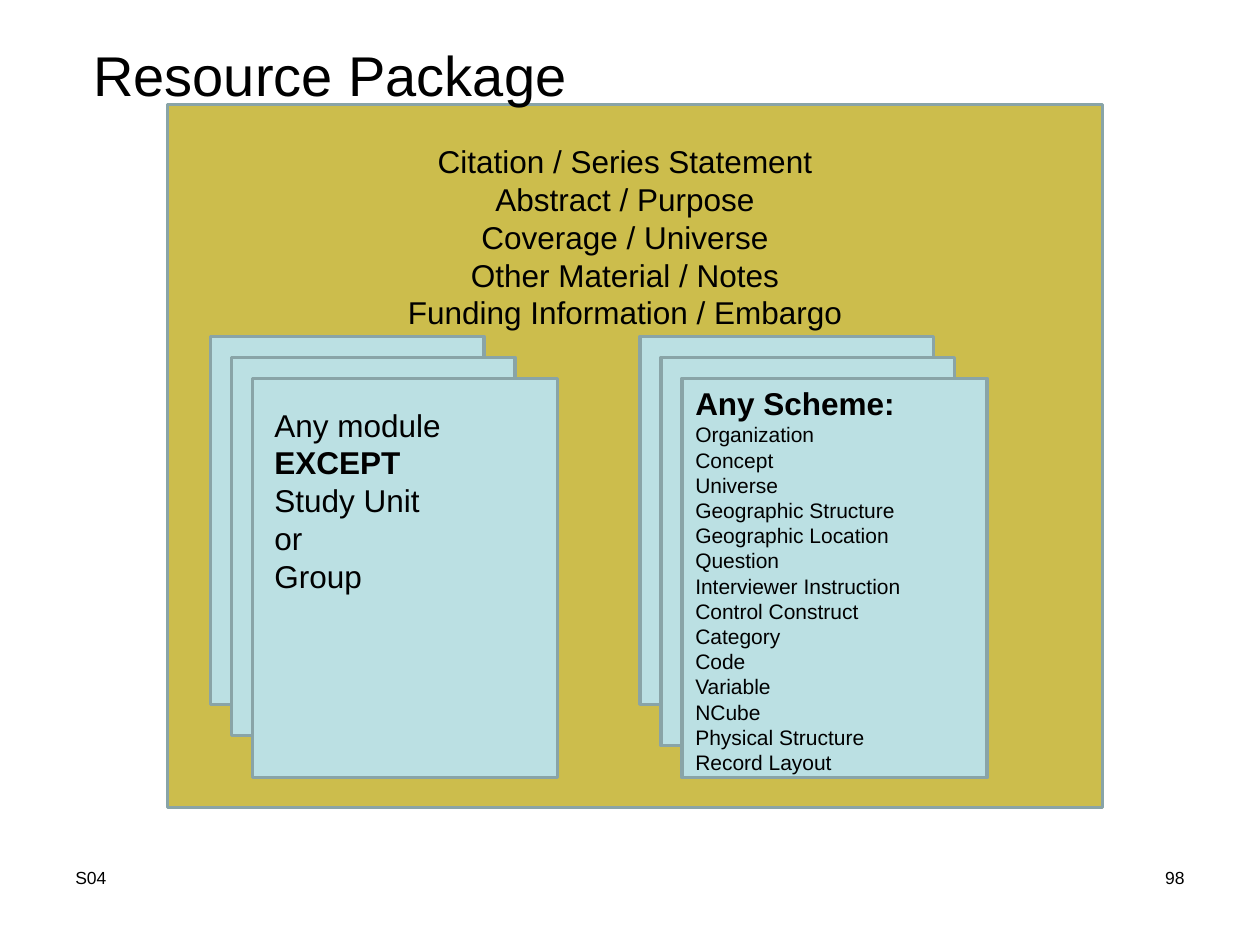
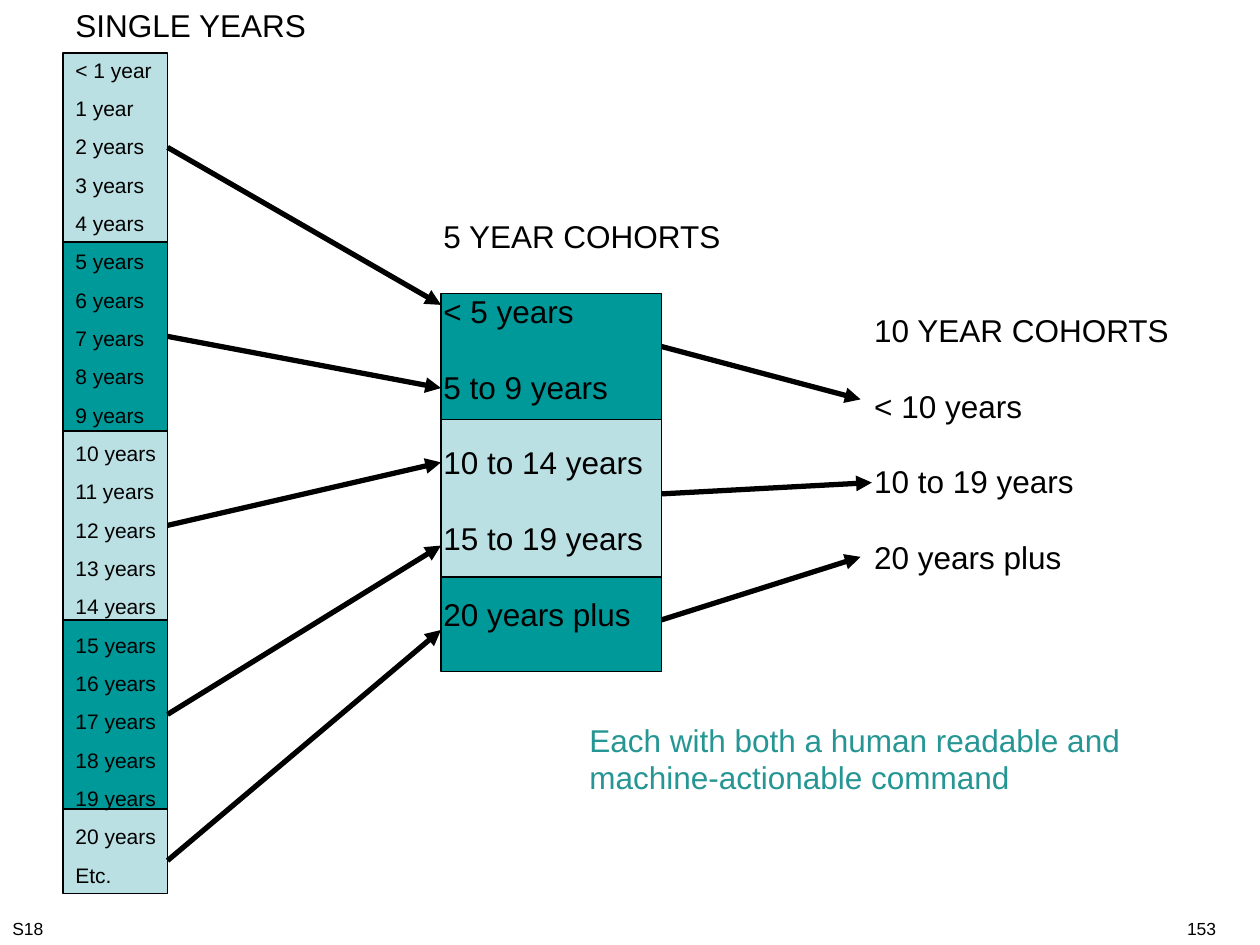
from lxml import etree
from pptx import Presentation
from pptx.dml.color import RGBColor
from pptx.enum.shapes import MSO_CONNECTOR, MSO_SHAPE
from pptx.enum.text import PP_ALIGN
from pptx.oxml.ns import qn
from pptx.util import Inches, Pt

RECTANGLE = MSO_SHAPE.RECTANGLE
STRAIGHT = MSO_CONNECTOR.STRAIGHT
LEFT, CENTER, RIGHT = PP_ALIGN.LEFT, PP_ALIGN.CENTER, PP_ALIGN.RIGHT

BLACK = RGBColor(0x00, 0x00, 0x00)
GOLD = RGBColor(0xCC, 0xBD, 0x4C)
PALE_BLUE = RGBColor(0xBB, 0xE0, 0xE3)
GREY_BLUE = RGBColor(0x89, 0xA4, 0xA7)
TEAL = RGBColor(0x00, 0x99, 0x99)
NOTE_TEAL = RGBColor(0x25, 0x96, 0x93)

FONT = "Arial"
LINE_HEIGHT = 1.2
BODY_SIZE, LIST_SIZE, FOOTER_SIZE, TITLE_SIZE = 18, 12, 10, 32
COHORT_GAP = BODY_SIZE * LINE_HEIGHT
YEAR_GAP = 7.5

SCHEMES = [
    "Organization",
    "Concept",
    "Universe",
    "Geographic Structure Geographic Location Question",
    "Interviewer Instruction",
    "Control Construct",
    "Category",
    "Code",
    "Variable",
    "NCube",
    "Physical Structure",
    "Record Layout",
]


def add_slide(deck):
    return deck.slides.add_slide(deck.slide_layouts[6])


def add_panel(page, place, fill, line=BLACK, width=0.75):
    panel = page.shapes.add_shape(RECTANGLE, *map(Inches, place))
    panel.shadow.inherit = False
    panel.fill.solid()
    panel.fill.fore_color.rgb = fill
    panel.line.color.rgb = line
    panel.line.width = Pt(width)


def add_text(page, place, lines, color=BLACK, align=LEFT, gap=0):
    box = page.shapes.add_textbox(*map(Inches, place))
    frame = box.text_frame
    frame.word_wrap = True
    for index, (words, size, bold) in enumerate(lines):
        para = frame.add_paragraph() if index else frame.paragraphs[0]
        para.alignment = align
        para.line_spacing = Pt(size * LINE_HEIGHT)
        if index and gap:
            para.space_before = Pt(gap)
        span = para.add_run()
        span.text = words
        span.font.name = FONT
        span.font.size = Pt(size)
        span.font.bold = bold
        span.font.color.rgb = color
    return box


def plain(texts, size=BODY_SIZE):
    return [(words, size, False) for words in texts]


def add_title(page, words):
    box = add_text(page, (0.67, 0.25, 9, 6.33), plain([words], TITLE_SIZE))
    box.text_frame.margin_left = Inches(0.07)
    box.text_frame.margin_top = Inches(0.07)


def add_footer(page, session, number, left, right, top):
    add_text(page, (left, top, 2.33, 0.52), plain([session], FOOTER_SIZE))
    add_text(page, (right, top, 2.33, 0.52), plain([number], FOOTER_SIZE),
             align=RIGHT)


def add_arrow(page, start, end):
    arrow = page.shapes.add_connector(STRAIGHT, *map(Inches, start + end))
    arrow.line.color.rgb = BLACK
    arrow.line.width = Pt(3)
    properties = arrow.line._get_or_add_ln()
    etree.SubElement(properties, qn("a:tailEnd"), type="triangle")
    etree.SubElement(properties.getparent(), qn("a:effectLst"))


def add_stack(page, left, sizes):
    for index, (width, height) in enumerate(sizes):
        offset = index / 6
        place = (left + offset, 2.67 + offset, width, height)
        add_panel(page, place, PALE_BLUE, GREY_BLUE, 2)


def add_bands(page, left, top, width, heights, fills):
    for height, fill in zip(heights, fills):
        add_panel(page, (left, top, width, height), fill)
        top += height


def build_resource_package(deck):
    page = add_slide(deck)
    add_panel(page, (1.33, 0.83, 7.42, 5.58), GOLD, GREY_BLUE, 2)
    add_title(page, "Resource Package")
    add_stack(page, 1.67, [(2.17, 2.92), (2.25, 3), (2.42, 3.17)])
    add_stack(page, 5.08, [(2.33, 2.92), (2.33, 3.08), (2.42, 3.17)])
    add_text(page, (2.08, 3.17, 1.58, 1.6), [
        ("Any module", BODY_SIZE, False),
        ("EXCEPT", BODY_SIZE, True),
        ("Study Unit or", BODY_SIZE, False),
        ("Group", BODY_SIZE, False),
    ])
    add_text(page, (5.42, 3, 2.33, 3.2),
             [("Any Scheme:", BODY_SIZE, True)] + plain(SCHEMES, LIST_SIZE))
    add_text(page, (1.92, 1.08, 6.08, 1.6), plain([
        "Citation / Series Statement",
        "Abstract / Purpose",
        "Coverage / Universe",
        "Other Material / Notes",
        "Funding Information / Embargo",
    ]), align=CENTER)
    add_footer(page, "S04", "98", 0.5, 7.17, 6.83)


def build_age_cohorts(deck):
    page = add_slide(deck)
    add_bands(page, 3.5, 2.33, 1.75, [1, 1.25, 0.75],
              [TEAL, PALE_BLUE, TEAL])
    add_bands(page, 0.5, 0.42, 0.83, [1.5] * 4 + [0.67],
              [PALE_BLUE, TEAL] * 2 + [PALE_BLUE])

    years = ["< 1 year", "1 year"]
    years += [f"{age} years" for age in range(2, 21)] + ["Etc."]
    add_text(page, (0.5, 0, 2.25, 7.1),
             plain(["SINGLE YEARS"]) + plain(years, LIST_SIZE), gap=YEAR_GAP)
    add_text(page, (3.42, 1.67, 2.41, 3.4), plain([
        "5 YEAR COHORTS",
        "< 5 years",
        "5 to 9 years",
        "10 to 14 years",
        "15 to 19 years",
        "20 years plus",
    ]), gap=COHORT_GAP)
    add_text(page, (6.84, 2.42, 2.6, 2.2), plain([
        "10 YEAR COHORTS",
        "< 10 years",
        "10 to 19 years",
        "20 years plus",
    ]), gap=COHORT_GAP)

    for start, end in [(1.17, 2.42), (2.67, 3.08), (4.17, 3.67),
                       (5.67, 4.33), (6.83, 5)]:
        add_arrow(page, (1.33, start), (3.5, end))
    for start, right, end in [(2.75, 6.83, 3.17), (3.92, 6.92, 3.83),
                              (4.92, 6.83, 4.42)]:
        add_arrow(page, (5.25, start), (right, end))

    add_text(page, (4.58, 5.67, 4.5, 0.7), plain([
        "Each with both a human readable and",
        "machine-actionable command",
    ]), color=NOTE_TEAL)
    add_footer(page, "S18", "153", 0, 7.42, 7.24)


def main():
    deck = Presentation()
    deck.slide_width = Inches(10)
    deck.slide_height = Inches(7.5)
    build_resource_package(deck)
    build_age_cohorts(deck)
    deck.save("out.pptx")


if __name__ == "__main__":
    main()
